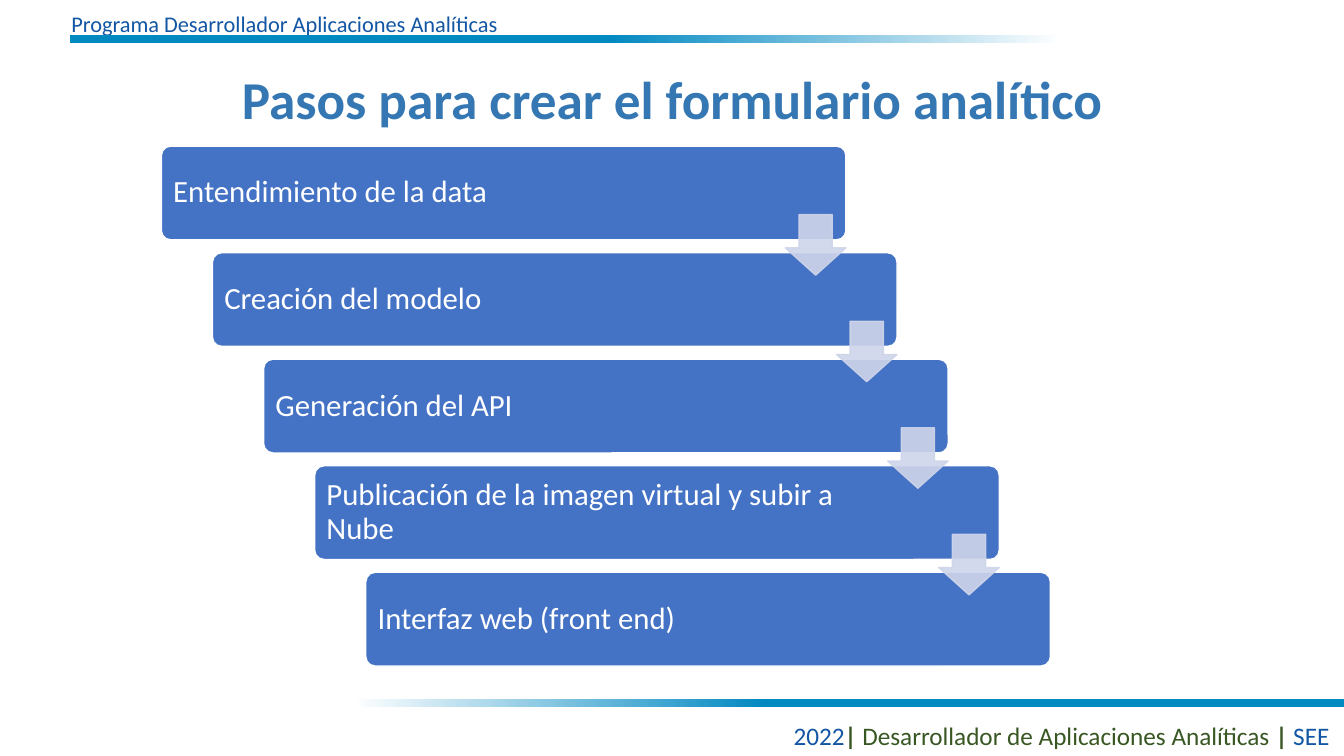
from lxml import etree
from pptx import Presentation, util as u
from pptx.dml.color import RGBColor
from pptx.enum import shapes, text
from pptx.oxml.ns import qn


def color(hex_value):
    return RGBColor.from_string(hex_value)


def write(frame, pieces, size, align=text.PP_ALIGN.LEFT, spacing=None):
    frame.word_wrap = True
    paragraph = frame.paragraphs[0]
    paragraph.alignment = align
    paragraph.line_spacing = spacing
    for words, hex_value, bold in pieces:
        run = paragraph.add_run()
        run.text = words
        run.font.name = "Calibri"
        run.font.size = u.Pt(size)
        run.font.bold = bold
        run.font.color.rgb = color(hex_value)


deck = Presentation()
deck.slide_width, deck.slide_height = u.Inches(13.33), u.Inches(7.5)
slide = deck.slides.add_slide(deck.slide_layouts[6])

BLUE, GREEN, WHITE = "1256A4", "385723", "FFFFFF"
RULE, STEP, PALE = "0088C1", "4472C4", "CFD5EA"

captions = [
    (0.61, 0.03, 9.43, 0.39, text.MSO_ANCHOR.BOTTOM, text.PP_ALIGN.LEFT, 16, 0.9,
     [("Programa Desarrollador Aplicaciones Analíticas", BLUE, False)]),
    (6.67, 7.1, 6.67, 0.4, text.MSO_ANCHOR.TOP, text.PP_ALIGN.RIGHT, 18, None,
     [("2022", BLUE, False), ("| ", GREEN, True),
      ("Desarrollador de Aplicaciones Analíticas ", GREEN, False),
      ("|", GREEN, True), (" SEE ", BLUE, False)]),
    (0.92, 0.57, 11.5, 0.88, text.MSO_ANCHOR.MIDDLE, text.PP_ALIGN.CENTER, 38, 0.9,
     [("Pasos para crear el formulario analítico", "3477B2", True)]),
]
for left, top, width, height, anchor, align, size, spacing, pieces in captions:
    caption = slide.shapes.add_textbox(
        u.Inches(left), u.Inches(top), u.Inches(width), u.Inches(height))
    caption.text_frame.vertical_anchor = anchor
    write(caption.text_frame, pieces, size, align, spacing)

rules = [
    (0.69, 0.35, [(0.54, RULE), (1, WHITE)]),
    (3.49, 6.93, [(0, WHITE), (0.42, RULE)]),
]
for left, top, stops in rules:
    rule = slide.shapes.add_shape(
        shapes.MSO_SHAPE.RECTANGLE,
        u.Inches(left), u.Inches(top), u.Inches(9.84), u.Inches(0.08))
    rule.shadow.inherit = False
    rule.line.fill.background()
    rule.fill.gradient()
    rule.fill.gradient_angle = 0
    for stop, (position, hex_value) in zip(rule.fill.gradient_stops, stops):
        stop.position = position
        stop.color.rgb = color(hex_value)

steps = [
    "Entendimiento de la data",
    "Creación del modelo",
    "Generación del API",
    "Publicación de la imagen virtual y subir a Nube",
    "Interfaz web (front end)",
]
SHIFT, DROP = 0.507, 1.057
for index, words in enumerate(steps):
    step = slide.shapes.add_shape(
        shapes.MSO_SHAPE.ROUNDED_RECTANGLE,
        u.Inches(1.6 + index * SHIFT), u.Inches(1.45 + index * DROP),
        u.Inches(6.79), u.Inches(0.93))
    step.adjustments[0] = 0.1
    step.shadow.inherit = False
    step.fill.solid()
    step.fill.fore_color.rgb = color(STEP)
    step.line.color.rgb = color(WHITE)
    step.line.width = u.Pt(1)
    frame = step.text_frame
    frame.margin_left = frame.margin_top = frame.margin_bottom = u.Inches(0.09)
    frame.margin_right = u.Inches(1.2)
    frame.vertical_anchor = text.MSO_ANCHOR.MIDDLE
    write(frame, [(words, WHITE, False)], 22, spacing=0.9)

for index in range(len(steps) - 1):
    arrow = slide.shapes.add_shape(
        shapes.MSO_SHAPE.DOWN_ARROW,
        u.Inches(7.79 + index * SHIFT), u.Inches(2.13 + index * DROP),
        u.Inches(0.6), u.Inches(0.6))
    arrow.adjustments[0], arrow.adjustments[1] = 0.55, 0.45
    arrow.shadow.inherit = False
    arrow.fill.solid()
    arrow.fill.fore_color.rgb = color(PALE)
    arrow.line.color.rgb = color(PALE)
    arrow.line.width = u.Pt(1)
    for tint in arrow.element.spPr.iter(qn("a:srgbClr")):
        etree.SubElement(tint, qn("a:alpha")).set("val", "90000")

deck.save("out.pptx")
